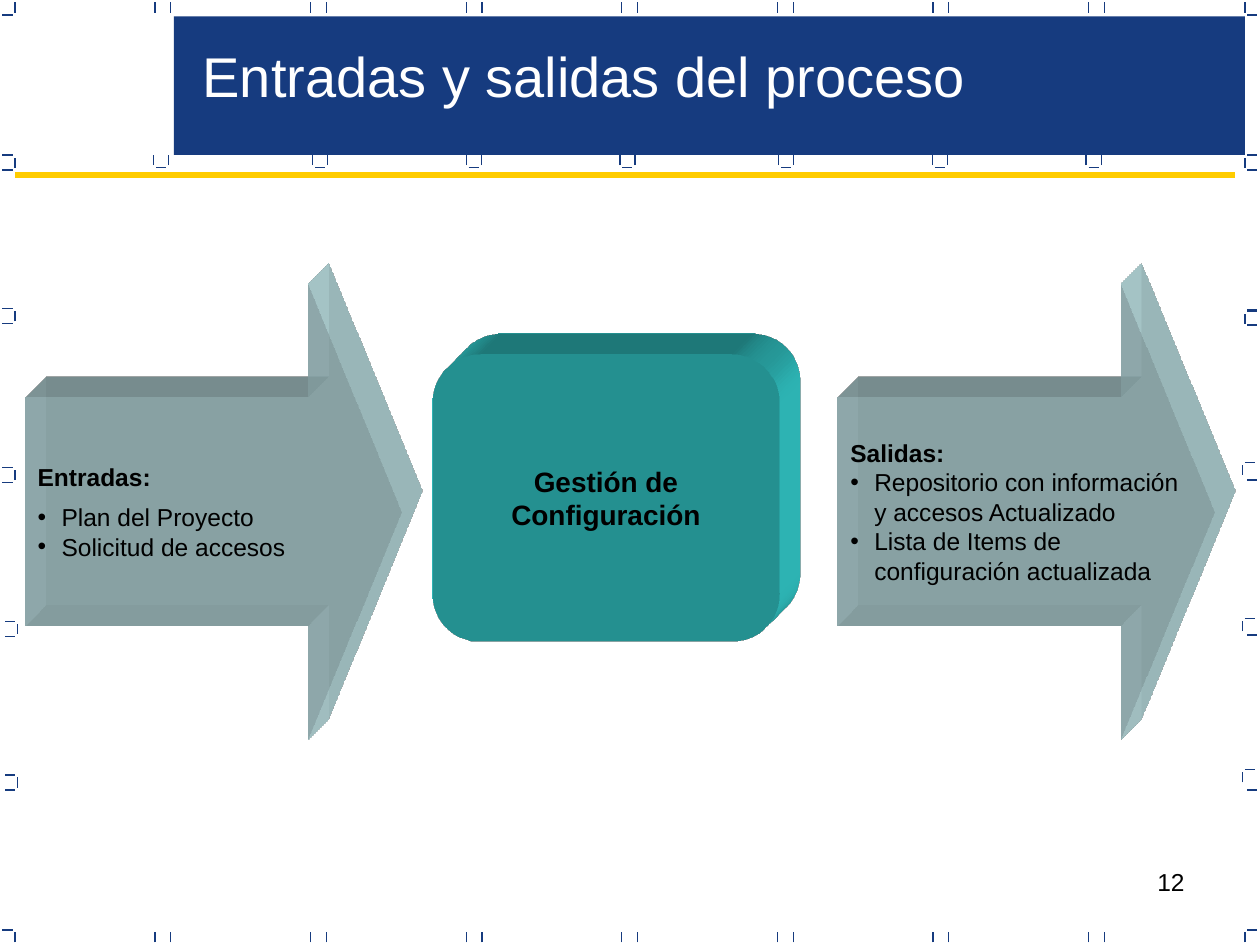
from lxml import etree
from pptx import Presentation
from pptx.dml.color import RGBColor
from pptx.enum.shapes import MSO_CONNECTOR, MSO_SHAPE
from pptx.enum.text import MSO_ANCHOR, PP_ALIGN
from pptx.oxml import parse_xml
from pptx.oxml.ns import qn
from pptx.util import Inches, Pt

A = 'xmlns:a="http://schemas.openxmlformats.org/drawingml/2006/main"'
NAVY, YELLOW, TEAL, PALE = "163B7F", "FFCC00", "33CCCC", "BBE0E3"
BLACK, WHITE = "000000", "FFFFFF"
TICK = 0.08


def rgb(value):
    return RGBColor.from_string(value)


class ProcessSlide:
    font = "Arial"

    def __init__(self, prs):
        self.slide = prs.slides.add_slide(prs.slide_layouts[6])
        self.shapes = self.slide.shapes

    def line(self, x1, y1, x2, y2, color=NAVY, width=0.75):
        line = self.shapes.add_connector(
            MSO_CONNECTOR.STRAIGHT, Inches(x1), Inches(y1), Inches(x2), Inches(y2))
        line.line.color.rgb = rgb(color)
        line.line.width = Pt(width)
        etree.SubElement(line._element.spPr, qn("a:effectLst"))

    def vertical(self, x, y):
        self.line(x, y + TICK, x, y)

    def horizontal(self, x, y):
        self.line(x, y, x + TICK, y)

    def shape(self, kind, box, fill, adjustments=(), alpha=None):
        shape = self.shapes.add_shape(kind, *map(Inches, box))
        shape.shadow.inherit = False
        shape.fill.solid()
        shape.fill.fore_color.rgb = rgb(fill)
        shape.line.fill.background()
        for i, value in enumerate(adjustments):
            shape.adjustments[i] = value
        if alpha:
            color = shape._element.spPr.find(qn("a:solidFill"))[0]
            etree.SubElement(color, qn("a:alpha"), val=str(alpha * 1000))
        return shape

    def extrude(self, shape, color):
        shape._element.spPr.append(parse_xml(
            f'<a:scene3d {A}><a:camera prst="legacyObliqueTopRight"/>'
            '<a:lightRig rig="legacyFlat3" dir="b"/></a:scene3d>'))
        shape._element.spPr.append(parse_xml(
            f'<a:sp3d {A} extrusionH="430200" prstMaterial="legacyMatte">'
            '<a:bevelT w="13500" h="13500" prst="angle"/>'
            '<a:bevelB w="13500" h="13500" prst="angle"/>'
            f'<a:extrusionClr><a:srgbClr val="{color}"/></a:extrusionClr></a:sp3d>'))

    def paragraph(self, frame, text, size, color=BLACK, bold=False,
                  align=PP_ALIGN.LEFT, first=True):
        p = frame.paragraphs[0] if first else frame.add_paragraph()
        p.alignment = align
        for i, part in enumerate(text.split("\n")):
            if i:
                p.add_line_break()
            run = p.add_run()
            run.text = part
            run.font.name, run.font.size, run.font.bold = self.font, Pt(size), bold
            run.font.color.rgb = rgb(color)
        return p

    def text(self, box, text, size, color=BLACK, align=PP_ALIGN.LEFT):
        frame = self.shapes.add_textbox(*map(Inches, box)).text_frame
        frame.word_wrap = True
        self.paragraph(frame, text, size, color, align=align)

    def flow_arrow(self, left, heading, items, gap=0, wrap=True):
        arrow = self.shape(MSO_SHAPE.RIGHT_ARROW, (left, 2.25, 2.99, 3.62), PALE,
                           (0.5, 0.25), alpha=80)
        self.extrude(arrow, PALE)
        frame = arrow.text_frame
        frame.word_wrap = wrap
        frame.vertical_anchor = MSO_ANCHOR.MIDDLE
        self.paragraph(frame, heading, 14, bold=True).space_after = Pt(gap)
        for item in items:
            props = self.paragraph(frame, item, 14, first=False)._p.get_or_add_pPr()
            props.set("marL", str(Inches(0.19)))
            props.set("indent", str(-Inches(0.19)))
            etree.SubElement(props, qn("a:buFont"), typeface=self.font)
            etree.SubElement(props, qn("a:buChar"), char="•")

    def process_box(self, box, text):
        step = self.shape(MSO_SHAPE.ROUNDED_RECTANGLE, box, TEAL, (0.167,))
        self.extrude(step, TEAL)
        step.text_frame.word_wrap = True
        step.text_frame.vertical_anchor = MSO_ANCHOR.MIDDLE
        self.paragraph(step.text_frame, text, 16, bold=True, align=PP_ALIGN.CENTER)

    def frame_marks(self):
        for y in (0.02, 7.4):
            for column in range(7):
                x = 1.23 + 1.235 * column
                self.vertical(x, y)
                self.vertical(x + 0.125, y)
            for x in (0.12, 9.88):
                self.vertical(x, y)
        for y in (0.12, 7.38):
            for x in (0.02, 9.9):
                self.horizontal(x, y)
        for x, y in ((0.02, 1.23), (0.02, 2.45), (0.02, 3.71), (0.04, 4.93), (0.04, 6.15)):
            self.horizontal(x, y)
            self.vertical(x + 0.1, y + 0.02)
            self.horizontal(x, y + 0.12)
        for x, y in ((9.88, 1.23), (9.88, 2.47), (9.86, 3.67), (9.86, 4.91), (9.86, 6.11)):
            self.vertical(x, y + 0.02)
            self.horizontal(x + 0.02, y)
        for y in (1.35, 2.46, 2.58, 3.81, 5.04, 6.27):
            self.horizontal(9.9, y)
        for x in (1.22, 2.48, 3.7, 4.92, 6.18, 7.4, 8.62):
            self.vertical(x, 1.23)
            self.vertical(x + 0.12, 1.23)
            self.horizontal(x + 0.02, 1.33)


prs = Presentation()
prs.slide_width, prs.slide_height = Inches(10), Inches(7.5)
page = ProcessSlide(prs)
page.text((7.17, 6.83, 2.33, 0.52), "12", 14, align=PP_ALIGN.RIGHT)
page.frame_marks()
page.shape(MSO_SHAPE.RECTANGLE, (1.38, 0.13, 8.5, 1.1), NAVY)
page.text((1.51, 0.28, 6.8, 0.63), "Entradas y salidas del proceso", 32, WHITE)
page.flow_arrow(0.2, "Entradas:", ["Plan del Proyecto", "Solicitud de accesos"], gap=6)
page.process_box((3.43, 2.81, 2.76, 2.28), "Gestión de Configuración")
page.flow_arrow(6.65, "Salidas:", ["Repositorio con información \ny accesos Actualizado",
                                   "Lista de Items de \nconfiguración actualizada"], wrap=False)
page.line(0.12, 1.39, 9.8, 1.39, YELLOW, 3)
prs.save("out.pptx")
